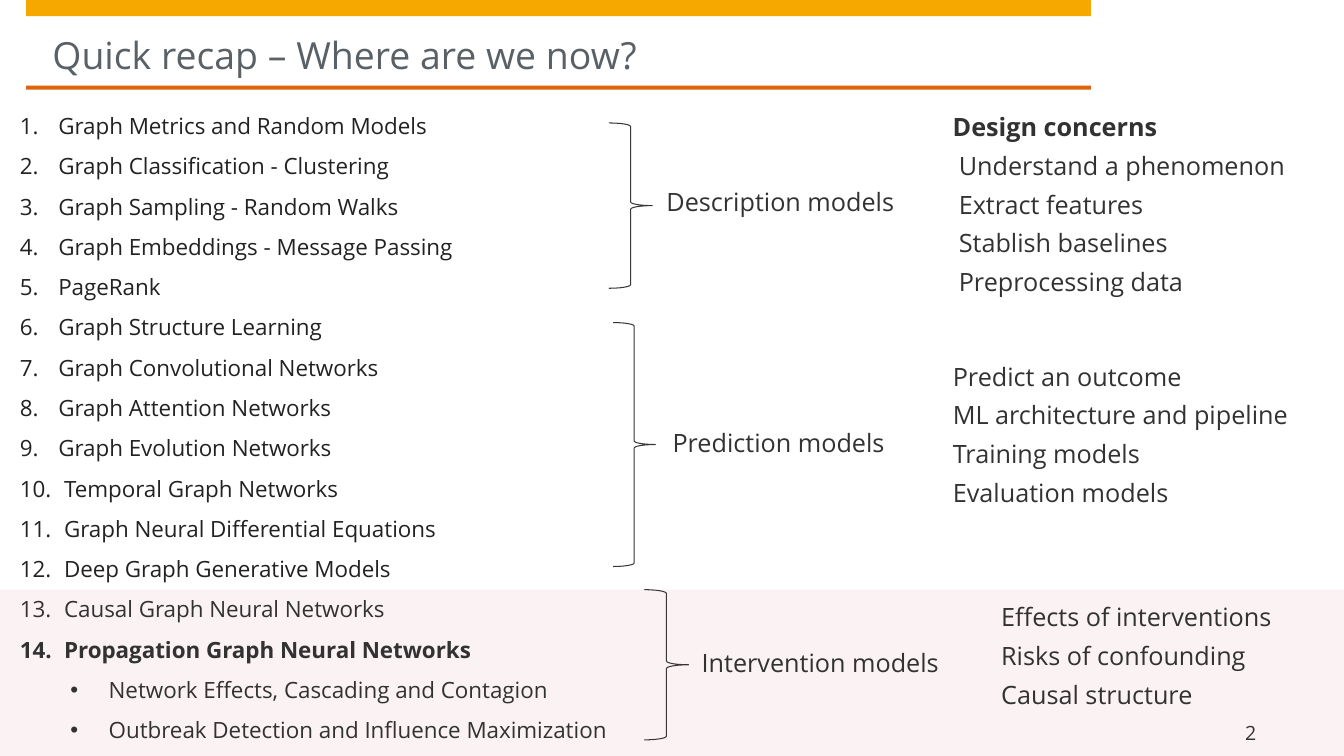
from dataclasses import dataclass

from lxml.etree import SubElement
from pptx import Presentation
from pptx.dml.color import RGBColor
from pptx.enum.shapes import MSO_SHAPE as Shape
from pptx.enum.text import MSO_ANCHOR as Anchor
from pptx.oxml.ns import qn
from pptx.util import Inches, Pt


@dataclass(frozen=True)
class Theme:
    font: str = "Open Sans"
    amber: str = "F6A800"
    orange: str = "DD640C"
    crimson: str = "B1063A"
    title: str = "5A6166"
    topic: str = "222222"
    body: str = "323232"
    brace: str = "373737"
    title_size: float = 26.7
    body_size: float = 18
    topic_size: float = 16
    number_size: float = 14


@dataclass(frozen=True)
class Box:
    left: float
    top: float
    width: float
    height: float

    def emu(self) -> list:
        return [Inches(v) for v in (self.left, self.top, self.width, self.height)]


@dataclass(frozen=True)
class ModelGroup:
    name: str
    brace: Box
    label: Box
    concerns_box: Box
    concerns: tuple


T = Theme()

TOPICS = (
    "Graph Metrics and Random Models",
    "Graph Classification - Clustering",
    "Graph Sampling - Random Walks",
    "Graph Embeddings - Message Passing",
    "PageRank",
    "Graph Structure Learning",
    "Graph Convolutional Networks",
    "Graph Attention Networks",
    "Graph Evolution Networks",
    " Temporal Graph Networks",
    " Graph Neural Differential Equations",
    " Deep Graph Generative Models",
)
CAUSAL = " Causal Graph Neural Networks"
CURRENT = " Propagation Graph Neural Networks"
SUBTOPICS = (
    "Network Effects, Cascading and Contagion",
    "Outbreak Detection and Influence Maximization",
)

GROUPS = (
    ModelGroup("Description models", Box(6.04, 1.22, 0.43, 1.64),
               Box(6.61, 1.85, 2.74, 0.46), Box(9.51, 1.49, 3.44, 1.56),
               ("Understand a phenomenon", "Extract features",
                "Stablish baselines", "Preprocessing data")),
    ModelGroup("Prediction models", Box(6.08, 3.2, 0.42, 2.42),
               Box(6.67, 4.24, 2.49, 0.35), Box(9.45, 3.58, 3.71, 1.48),
               ("Predict an outcome", "ML architecture and pipeline",
                "Training models", "Evaluation models")),
    ModelGroup("Intervention models", Box(6.39, 5.85, 0.44, 1.49),
               Box(6.96, 6.42, 2.64, 0.35), Box(9.93, 5.97, 3.08, 1.24),
               ("Effects of interventions", "Risks of confounding",
                "Causal structure")),
)


def add_bar(s, box: Box, color: str, alpha: int = 100):
    sp = s.shapes.add_shape(Shape.RECTANGLE, *box.emu())
    sp.shadow.inherit = False
    sp.line.fill.background()
    sp.fill.solid()
    sp.fill.fore_color.rgb = RGBColor.from_string(color)
    if alpha < 100:
        clr = sp.fill._xPr.find(qn("a:solidFill"))[0]
        SubElement(clr, qn("a:alpha"), val=str(alpha * 1000))


def add_brace(s, box: Box):
    sp = s.shapes.add_shape(Shape.RIGHT_BRACE, *box.emu())
    sp.shadow.inherit = False
    sp.fill.background()
    sp.line.color.rgb = RGBColor.from_string(T.brace)
    sp.line.width = Pt(0.75)


def add_frame(s, box: Box, insets=(0, 0, 0, 0), anchor=Anchor.TOP):
    tf = s.shapes.add_textbox(*box.emu()).text_frame
    tf.word_wrap = True
    tf.vertical_anchor = anchor
    (tf.margin_left, tf.margin_top,
     tf.margin_right, tf.margin_bottom) = [Inches(v) for v in insets]
    return tf


def add_line(tf, text: str, *, size: float = T.body_size, color: str = T.body,
             bold: bool = False, gap: float = 0, spacing: float = 1.0):
    """Fill the first empty paragraph, or append a new one."""
    p = tf.paragraphs[0] if not tf.paragraphs[0].runs else tf.add_paragraph()
    p.space_before = p.space_after = Pt(gap)
    p.line_spacing = spacing
    r = p.add_run()
    r.text = text
    r.font.name, r.font.size, r.font.bold = T.font, Pt(size), bold
    r.font.color.rgb = RGBColor.from_string(color)
    return p


def add_item(tf, text: str, *, level: int = 0, color: str = T.body, bold: bool = False):
    """Add a numbered topic, or a bulleted one below the top level."""
    p = add_line(tf, text, size=T.topic_size, color=color, bold=bold, spacing=1.5)
    p.level = level
    pPr = p._p.get_or_add_pPr()
    pPr.set("marL", str(Inches(0.38 + 0.5 * level)))
    pPr.set("indent", str(Inches(-0.38)))
    if level:
        SubElement(pPr, qn("a:buFont"), typeface="Arial")
        SubElement(pPr, qn("a:buChar"), char="•")
    else:
        SubElement(pPr, qn("a:buFont"), typeface="+mj-lt")
        SubElement(pPr, qn("a:buAutoNum"), type="arabicPeriod")


prs = Presentation()
prs.slide_width, prs.slide_height = Inches(13.33), Inches(7.5)
s = prs.slides.add_slide(prs.slide_layouts[6])

# Header bars and highlighted band
add_bar(s, Box(0.26, 0, 10.56, 0.16), T.amber)
add_bar(s, Box(0.26, 0.85, 10.56, 0.04), T.orange)
add_bar(s, Box(0, 5.85, 13.33, 1.65), T.crimson, alpha=5)

# Title and slide number
add_line(add_frame(s, Box(0.52, 0.16, 10.03, 0.61), (0, 0.16, 0, 0)),
         "Quick recap – Where are we now?", size=T.title_size, color=T.title)
add_line(add_frame(s, Box(12.23, 7.09, 0.84, 0.29), (0.12, 0, 0, 0), Anchor.BOTTOM),
         "2", size=T.number_size)

# Course topics
topics = add_frame(s, Box(0.1, 0.93, 6.63, 6.51), (0.1, 0.05, 0.1, 0.05))
for topic in TOPICS:
    add_item(topics, topic, color=T.topic)
add_item(topics, CAUSAL)
add_item(topics, CURRENT, bold=True)
for subtopic in SUBTOPICS:
    add_item(topics, subtopic, level=1)

# Model groups with their design concerns
add_line(add_frame(s, Box(9.35, 1.06, 2.98, 0.4), (0.1, 0.05, 0.1, 0.05)),
         "Design concerns", bold=True, gap=3)
for group in GROUPS:
    add_brace(s, group.brace)
    add_line(add_frame(s, group.label), group.name, gap=3)
    concerns = add_frame(s, group.concerns_box)
    for concern in group.concerns:
        add_line(concerns, concern, gap=3)

prs.save("out.pptx")
